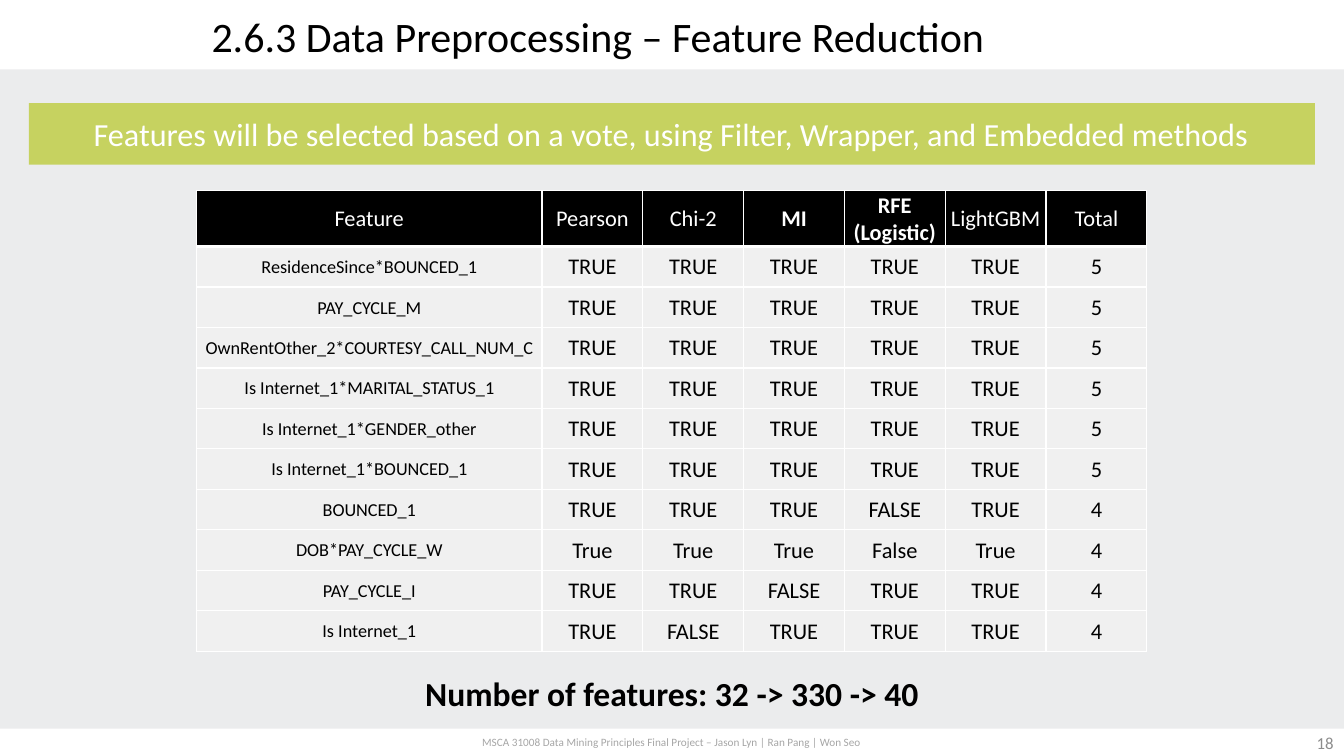
from dataclasses import dataclass

from lxml.etree import SubElement
from pptx import Presentation
from pptx.dml.color import RGBColor
from pptx.enum.shapes import MSO_SHAPE as Preset
from pptx.enum.text import MSO_ANCHOR as Anchor, MSO_AUTO_SIZE as AutoSize, PP_ALIGN as Align
from pptx.oxml.ns import qn
from pptx.slide import Slide
from pptx.table import _Cell as Cell
from pptx.text.text import TextFrame
from pptx.util import Cm, Length, Pt


@dataclass(frozen=True)
class Theme:
    font: str = "Calibri"
    background: str = "EBECED"
    white: str = "FFFFFF"
    black: str = "000000"
    accent: str = "C6D260"
    cell: str = "F0F0F0"
    footer: str = "A6A6A6"
    page: str = "8C8C8C"
    title_size: float = 30
    summary_size: float = 24
    banner_size: float = 23
    table_size: float = 16
    feature_size: float = 13
    page_size: float = 12
    footer_size: float = 8


@dataclass(frozen=True)
class TextStyle:
    size: float
    color: str
    bold: bool = False
    align: Align = Align.CENTER
    anchor: Anchor = Anchor.MIDDLE


@dataclass(frozen=True)
class Box:
    left: Length
    top: Length
    width: Length
    height: Length

    def bounds(self) -> tuple[Length, Length, Length, Length]:
        return self.left, self.top, self.width, self.height


@dataclass(frozen=True)
class Block:
    box: Box
    fill: str
    text: str = ""


@dataclass(frozen=True)
class Label:
    box: Box
    text: str
    style: TextStyle


@dataclass(frozen=True)
class Feature:
    name: str
    votes: str
    total: int


THEME = Theme()
WIDTH, HEIGHT = Cm(33.87), Cm(19.05)
TITLE = "2.6.3 Data Preprocessing – Feature Reduction"
BANNER_STYLE = TextStyle(THEME.banner_size, THEME.white)

BLOCKS = [
    Block(Box(Cm(0), Cm(0), WIDTH, Cm(1.75)), THEME.white),
    Block(Box(Cm(0), Cm(18.36), WIDTH, Cm(0.69)), THEME.white),
    Block(Box(Cm(0.73), Cm(2.6), Cm(32.41), Cm(1.55)), THEME.accent,
          "Features will be selected based on a vote, using Filter, Wrapper, and Embedded methods"),
]
LABELS = [
    Label(Box(Cm(8.68), Cm(18.36), Cm(16.5), Cm(0.69)),
          "MSCA 31008 Data Mining Principles Final Project – Jason Lyn | Ran Pang | Won Seo",
          TextStyle(THEME.footer_size, THEME.footer)),
    Label(Box(Cm(0), Cm(16.84), WIDTH, Cm(1.27)),
          "Number of features: 32 -> 330 -> 40",
          TextStyle(THEME.summary_size, THEME.black, bold=True, anchor=Anchor.TOP)),
    Label(Box(Cm(26.24), Cm(18.21), Cm(7.62), Cm(1.02)), "18",
          TextStyle(THEME.page_size, THEME.page, align=Align.RIGHT)),
]

HEADERS = ["Feature", "Pearson", "Chi-2", "MI", "RFE (Logistic)", "LightGBM", "Total"]
BOLD_HEADERS = {"MI", "RFE (Logistic)"}
ALL_TRUE = "TRUE TRUE TRUE TRUE TRUE"
FEATURES = [
    Feature("ResidenceSince*BOUNCED_1", ALL_TRUE, 5),
    Feature("PAY_CYCLE_M", ALL_TRUE, 5),
    Feature("OwnRentOther_2*COURTESY_CALL_NUM_C", ALL_TRUE, 5),
    Feature("Is Internet_1*MARITAL_STATUS_1", ALL_TRUE, 5),
    Feature("Is Internet_1*GENDER_other", ALL_TRUE, 5),
    Feature("Is Internet_1*BOUNCED_1", ALL_TRUE, 5),
    Feature("BOUNCED_1", "TRUE TRUE TRUE FALSE TRUE", 4),
    Feature("DOB*PAY_CYCLE_W", "True True True False True", 4),
    Feature("PAY_CYCLE_I", "TRUE TRUE FALSE TRUE TRUE", 4),
    Feature("Is Internet_1", "TRUE FALSE TRUE TRUE TRUE", 4),
]
TABLE_LEFT, TABLE_TOP = Cm(4.95), Cm(4.8)
NAME_WIDTH, VOTE_WIDTH = Cm(8.71), Cm(2.54)
HEADER_HEIGHT, ROW_HEIGHT = Cm(1.37), Cm(1.02)
CELL_MARGIN = Cm(0.03)


def write_text(frame: TextFrame, text: str, style: TextStyle) -> None:
    frame.text = text
    paragraph = frame.paragraphs[0]
    paragraph.alignment = style.align
    font = paragraph.font
    font.name = THEME.font
    font.size = Pt(style.size)
    font.bold = style.bold
    font.color.rgb = RGBColor.from_string(style.color)


def add_block(slide: Slide, block: Block) -> None:
    shape = slide.shapes.add_shape(Preset.RECTANGLE, *block.box.bounds())
    shape.shadow.inherit = False
    shape.fill.solid()
    shape.fill.fore_color.rgb = RGBColor.from_string(block.fill)
    shape.line.fill.background()
    if block.text:
        write_text(shape.text_frame, block.text, BANNER_STYLE)
        shape.text_frame.vertical_anchor = BANNER_STYLE.anchor


def add_label(slide: Slide, label: Label) -> None:
    frame = slide.shapes.add_textbox(*label.box.bounds()).text_frame
    frame.word_wrap = True
    frame.vertical_anchor = label.style.anchor
    write_text(frame, label.text, label.style)


def set_borders(cell: Cell, bottom_width: float) -> None:
    """Draw white cell borders; call before setting the fill, which must follow them."""
    properties = cell._tc.get_or_add_tcPr()
    for tag, width in (("a:lnL", 1), ("a:lnR", 1), ("a:lnT", 1), ("a:lnB", bottom_width)):
        line = SubElement(properties, qn(tag), w=str(Pt(width)))
        fill = SubElement(line, qn("a:solidFill"))
        SubElement(fill, qn("a:srgbClr"), val=THEME.white)


def format_cell(cell: Cell, text: str, style: TextStyle, fill: str, bottom_width: float) -> None:
    set_borders(cell, bottom_width)
    cell.fill.solid()
    cell.fill.fore_color.rgb = RGBColor.from_string(fill)
    cell.margin_left = cell.margin_right = cell.margin_top = CELL_MARGIN
    cell.margin_bottom = Cm(0)
    cell.vertical_anchor = style.anchor
    write_text(cell.text_frame, text, style)


def add_vote_table(slide: Slide) -> None:
    column_widths = [NAME_WIDTH] + [VOTE_WIDTH] * (len(HEADERS) - 1)
    row_heights = [HEADER_HEIGHT] + [ROW_HEIGHT] * len(FEATURES)
    table = slide.shapes.add_table(len(row_heights), len(HEADERS), TABLE_LEFT, TABLE_TOP,
                                   sum(column_widths), sum(row_heights)).table
    for column, width in zip(table.columns, column_widths):
        column.width = width
    for row, height in zip(table.rows, row_heights):
        row.height = height

    for index, header in enumerate(HEADERS):
        style = TextStyle(THEME.table_size, THEME.white, bold=header in BOLD_HEADERS)
        format_cell(table.cell(0, index), header, style, THEME.black, 3)
    for row_index, feature in enumerate(FEATURES, start=1):
        values = [feature.name, *feature.votes.split(), str(feature.total)]
        for index, value in enumerate(values):
            size = THEME.table_size if index else THEME.feature_size
            format_cell(table.cell(row_index, index), value,
                        TextStyle(size, THEME.black), THEME.cell, 1)


def format_title(slide: Slide) -> None:
    title = slide.shapes.title
    title.left, title.top, title.width, title.height = Box(Cm(0), Cm(0), WIDTH, Cm(1.78)).bounds()
    frame = title.text_frame
    frame.auto_size = AutoSize.NONE
    frame.vertical_anchor = Anchor.MIDDLE
    frame.margin_left = Cm(5.33)
    write_text(frame, TITLE, TextStyle(THEME.title_size, THEME.black, align=Align.LEFT))
    slide.shapes._spTree.append(title._element)  # bring in front of the header band


def main() -> None:
    presentation = Presentation()
    presentation.slide_width, presentation.slide_height = WIDTH, HEIGHT
    slide = presentation.slides.add_slide(presentation.slide_layouts.get_by_name("Title Only"))
    slide.background.fill.solid()
    slide.background.fill.fore_color.rgb = RGBColor.from_string(THEME.background)
    for block in BLOCKS:
        add_block(slide, block)
    add_vote_table(slide)
    format_title(slide)
    for label in LABELS:
        add_label(slide, label)
    presentation.save("out.pptx")


if __name__ == "__main__":
    main()
